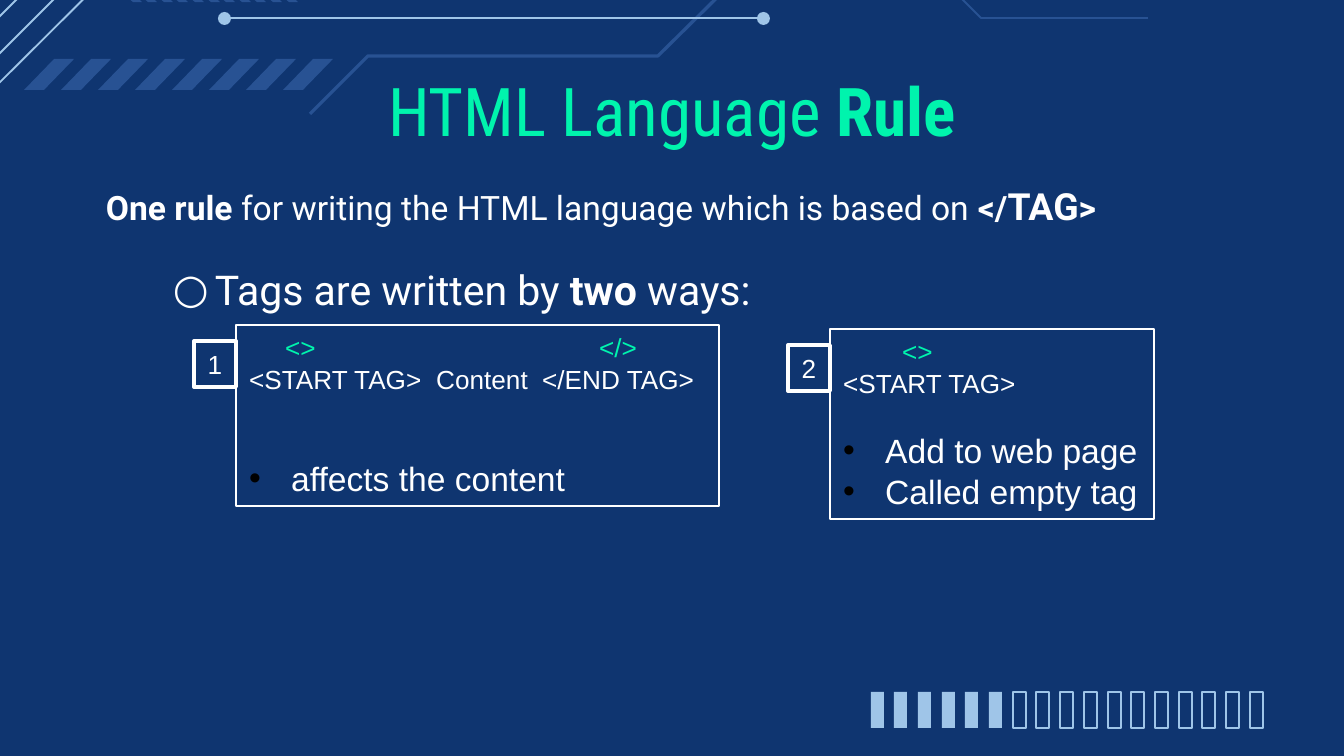
"""Build the HTML Language Rule slide."""
import pptx
import pptx.dml.color
import pptx.enum.shapes
import pptx.enum.text
import pptx.oxml.ns
import pptx.util
from lxml import etree

NAVY = pptx.dml.color.RGBColor(0x0F, 0x35, 0x70)
STEEL = pptx.dml.color.RGBColor(0x28, 0x52, 0x93)
SKY = pptx.dml.color.RGBColor(0x9F, 0xC5, 0xE8)
MINT = pptx.dml.color.RGBColor(0x00, 0xF4, 0xAD)
WHITE = pptx.dml.color.RGBColor(0xFF, 0xFF, 0xFF)
BLACK = pptx.dml.color.RGBColor(0, 0, 0)

SHAPE = pptx.enum.shapes.MSO_SHAPE
ALIGN = pptx.enum.text.PP_ALIGN
ANCHOR = pptx.enum.text.MSO_ANCHOR
SCALE = 914400 / 134.4


def emu(px):
    return pptx.util.Emu(round(px * SCALE))


def add_node(parent, tag, **attributes):
    return etree.SubElement(parent, pptx.oxml.ns.qn(tag), attributes)


class SlideBuilder:
    def __init__(self, slide):
        self.slide = slide
        self.shapes = slide.shapes
        slide.background.fill.solid()
        slide.background.fill.fore_color.rgb = NAVY

    def paint(self, shape, fill=None, line=None, weight=0.75):
        shape.shadow.inherit = False
        if fill is None:
            shape.fill.background()
        else:
            shape.fill.solid()
            shape.fill.fore_color.rgb = fill
        if line is None:
            shape.line.fill.background()
        else:
            shape.line.color.rgb = line
            shape.line.width = pptx.util.Pt(weight)
        return shape

    def shape(self, kind, left, top, width, height, **paint):
        shape = self.shapes.add_shape(kind, emu(left), emu(top), emu(width), emu(height))
        return self.paint(shape, **paint)

    def outline(self, points, close=False, **paint):
        builder = self.shapes.build_freeform(*points[0], scale=SCALE)
        builder.add_line_segments(points[1:], close=close)
        return self.paint(builder.convert_to_shape(), **paint)

    def line(self, x1, y1, x2, y2, color, weight):
        kind = pptx.enum.shapes.MSO_CONNECTOR.STRAIGHT
        line = self.shapes.add_connector(kind, emu(x1), emu(y1), emu(x2), emu(y2))
        line.line.color.rgb = color
        line.line.width = pptx.util.Pt(weight)
        add_node(line._element.spPr, "a:effectLst")

    def textbox(self, left, top, width, height):
        frame = self.shapes.add_textbox(emu(left), emu(top), emu(width), emu(height)).text_frame
        frame.word_wrap = True
        frame.margin_left = frame.margin_right = frame.margin_top = frame.margin_bottom = 0
        return frame

    def paragraph(self, frame, spans, size, font="Arial", color=WHITE, align=ALIGN.LEFT, before=0):
        """Write (text, bold) or (text, bold, size) spans."""
        para = frame.paragraphs[0]
        if para.runs:
            para = frame.add_paragraph()
        para.alignment = align
        para.space_before = pptx.util.Pt(before)
        for text, bold, *own_size in spans:
            span = para.add_run()
            span.text = text
            span.font.name = font
            span.font.size = pptx.util.Pt(own_size[0] if own_size else size)
            span.font.bold = bold
            span.font.color.rgb = color
        return para

    def bullet(self, para, char, color, font, margin, hanging):
        props = para._p.get_or_add_pPr()
        props.set("marL", str(emu(margin)))
        props.set("indent", str(-emu(hanging)))
        add_node(add_node(props, "a:buClr"), "a:srgbClr", val=str(color))
        add_node(props, "a:buFont", typeface=font)
        add_node(props, "a:buChar", char=char)

    def tabs(self, para, stops):
        tab_list = add_node(para._p.get_or_add_pPr(), "a:tabLst")
        for stop in stops:
            add_node(tab_list, "a:tab", pos=str(emu(stop)), algn="l")

    def tag_card(self, number, left, top, width, height, rows, gap, notes):
        card = self.shape(SHAPE.RECTANGLE, left, top, width, height, line=WHITE)
        frame = card.text_frame
        frame.word_wrap = True
        frame.vertical_anchor = ANCHOR.TOP
        for text, color, stops in rows:
            para = self.paragraph(frame, [(text, False)], 14, color=color)
            self.tabs(para, stops)
        for index, note in enumerate(notes):
            para = self.paragraph(frame, [(note, False)], 18, before=0 if index else gap)
            self.bullet(para, "•", BLACK, "Arial", 42, 42)
        badge = self.shape(SHAPE.RECTANGLE, left - 42, top + 16, 42, 46,
                           fill=NAVY, line=WHITE, weight=2)
        badge.text_frame.word_wrap = False
        badge.text_frame.vertical_anchor = ANCHOR.MIDDLE
        self.paragraph(badge.text_frame, [(number, False)], 14, align=ALIGN.CENTER)

    def circuit(self):
        self.outline([(-26, 108), (171, -88), (348, -88), (423, -14), (603, -14),
                      (710, -122), (812, -122)], line=SKY, weight=1)
        self.outline([(310, 114), (368, 56), (658, 56), (735, -20), (869, -20)],
                     line=STEEL, weight=1.75)
        self.outline([(1148, 18), (981, 18), (912, -51), (786, -51)], line=STEEL, weight=1)
        self.line(224, 18, 763, 18, SKY, 1)
        for center in (763, 224):
            self.shape(SHAPE.OVAL, center - 6, 12, 13, 13, fill=SKY)
        for left, top in ((-58, -88), (-83, -100)):
            self.line(left, top + 199, left + 199, top, SKY, 1)
        for index in range(8):
            stripe = self.shape(SHAPE.PARALLELOGRAM, 24 + 37 * index, 59, 50, 31, fill=STEEL)
            stripe.adjustments[0] = 0.97
        chevron = [(25, 2), (10, -12), (24, -26), (14, -26), (0, -12), (16, 2)]
        for index in range(11):
            left = 117 + 156 * index // 10
            self.outline([(left + x, y) for x, y in chevron], close=True, fill=STEEL)

    def progress_bars(self, filled, total):
        for index in range(total):
            paint = {"fill": SKY} if index < filled else {"line": SKY}
            self.shape(SHAPE.RECTANGLE, 871 + 237 * index // 10, 692, 13, 36, **paint)


def main():
    deck = pptx.Presentation()
    deck.slide_width, deck.slide_height = emu(1344), emu(756)
    page = SlideBuilder(deck.slides.add_slide(deck.slide_layouts[6]))
    page.circuit()
    page.progress_bars(6, 17)

    title = page.textbox(106, 69, 1132, 71)
    page.paragraph(title, [("HTML Language ", False), ("Rule", True)], 36,
                   "Roboto Condensed", MINT, ALIGN.CENTER)

    body = page.textbox(106, 183, 1132, 489)
    page.paragraph(body, [("One rule ", True),
                          ("for writing the HTML language which is based on ", False),
                          ("</", True), ("TAG", True, 20), (">", True)], 18, "Roboto")
    ways = page.paragraph(body, [("Tags are written by ", False), ("two", True),
                                 (" ways:", False)], 22, "Roboto", before=16)
    ways.line_spacing = 1.15
    page.bullet(ways, "○", WHITE, "Roboto", 109, 42)

    page.tag_card("1", 236, 325, 483, 181,
                  [("\t<>\t</>", MINT, (36, 350)),
                   ("<START TAG>\tContent\t</END TAG>", WHITE, (187, 293))],
                  34, ["affects the content"])
    page.tag_card("2", 830, 329, 324, 190,
                  [("\t<>", MINT, (59,)), ("<START TAG>", WHITE, ())],
                  17, ["Add to web page", "Called empty tag"])
    deck.save("out.pptx")


if __name__ == "__main__":
    main()
